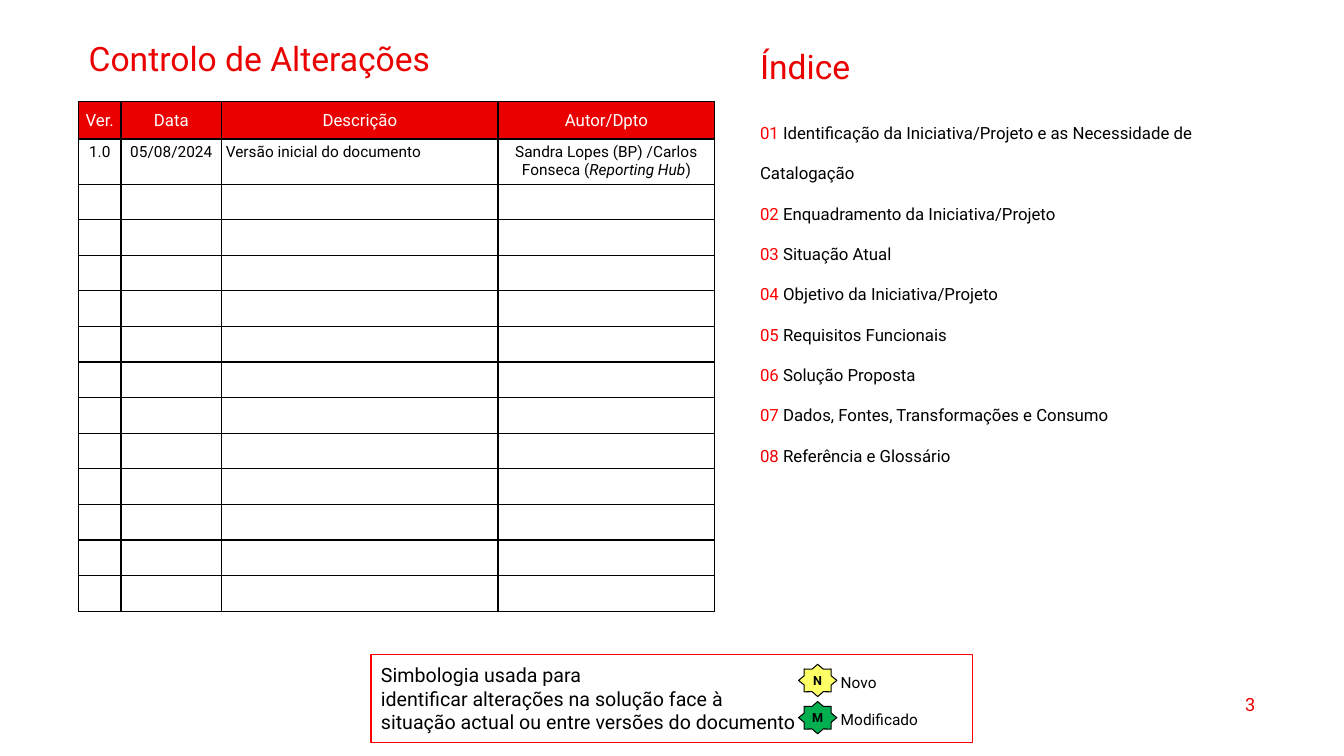
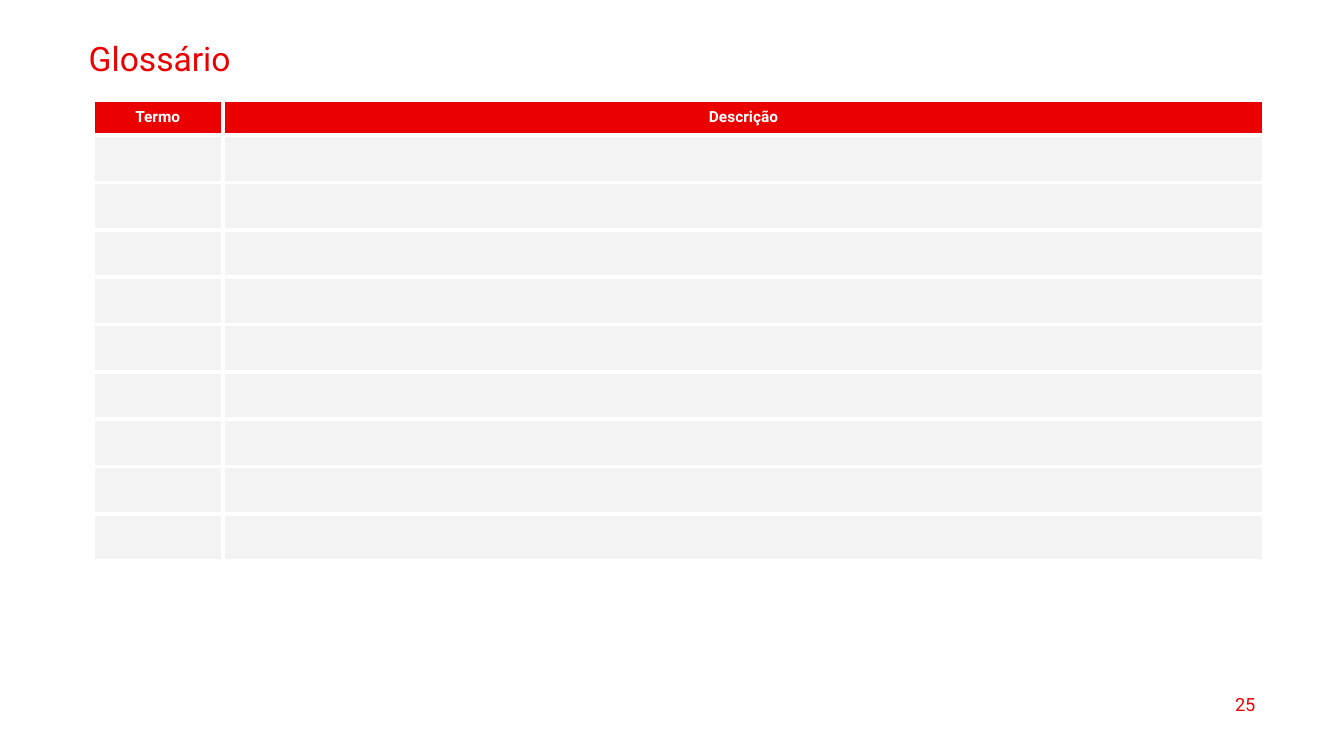
from lxml import etree
from pptx import Presentation
from pptx import util as u
from pptx.dml.color import RGBColor
from pptx.enum import shapes, text
from pptx.oxml.ns import qn

FONT = "Roboto"
RED, BRIGHT_RED = "EB0000", "FF0000"
BLACK, WHITE, GREY = "000000", "FFFFFF", "F3F3F3"
YELLOW, GREEN = "FFFF66", "00B050"
LEFT, CENTER, RIGHT = text.PP_ALIGN.LEFT, text.PP_ALIGN.CENTER, text.PP_ALIGN.RIGHT
TOP, MIDDLE = text.MSO_ANCHOR.TOP, text.MSO_ANCHOR.MIDDLE

INDEX_ENTRIES = [
    "Identificação da Iniciativa/Projeto e as Necessidade de Catalogação",
    "Enquadramento da Iniciativa/Projeto",
    "Situação Atual",
    "Objetivo da Iniciativa/Projeto",
    "Requisitos Funcionais",
    "Solução Proposta",
    "Dados, Fontes, Transformações e Consumo",
    "Referência e Glossário",
]
LEGEND_LINES = [
    "Simbologia usada para",
    "identificar alterações na solução face à",
    "situação actual ou entre versões do documento",
]
CHANGE_HEADERS = ["Ver.", "Data", "Descrição", "Autor/Dpto"]
FIRST_CHANGE = [
    "1.0",
    "05/08/2024",
    "Versão inicial do documento",
    ["Sandra Lopes (BP) /Carlos Fonseca (", "Reporting Hub", ")"],
]


def px(length):
    """Turn px, 100 to the inch, into EMU."""
    return u.Emu(round(length * 9144))


def color(value):
    return RGBColor.from_string(value)


def style(font, size, fill, bold=False):
    font.name, font.size, font.bold = FONT, u.Pt(size), bold
    font.color.rgb = color(fill)


def write(frame, lines, size, fill, align=LEFT, bold=False):
    """Fill a frame with one paragraph a line; a line is a string or a list of runs."""
    for number, line in enumerate(lines):
        paragraph = frame.paragraphs[0] if number == 0 else frame.add_paragraph()
        paragraph.alignment = align
        for part in [line] if isinstance(line, str) else line:
            run = paragraph.add_run()
            run.text = part
            style(run.font, size, fill, bold)


def add_text(slide, box, lines, size, fill, align=LEFT, anchor=TOP):
    frame = slide.shapes.add_textbox(*map(px, box)).text_frame
    frame.word_wrap = True
    frame.vertical_anchor = anchor
    write(frame, lines, size, fill, align)
    return frame


def format_heading(frame, heading):
    frame.auto_size = text.MSO_AUTO_SIZE.NONE
    frame.vertical_anchor = TOP
    write(frame, [heading], 24, RED)
    frame.paragraphs[0].line_spacing = 0.9


def add_slide(presentation, title, title_width, number):
    slide = presentation.slides.add_slide(presentation.slide_layouts[5])
    placeholder = slide.shapes.title
    placeholder.left, placeholder.top = px(78), px(37)
    placeholder.width, placeholder.height = px(title_width), px(33)
    format_heading(placeholder.text_frame, title)
    add_text(slide, (955, 679, 300, 40), [str(number)], 13, RED, RIGHT, MIDDLE)
    return slide


def add_preset(slide, kind, box, line, fill=None):
    shape = slide.shapes.add_shape(kind, *map(px, box))
    shape.shadow.inherit = False
    if fill:
        shape.fill.solid()
        shape.fill.fore_color.rgb = color(fill)
    else:
        shape.fill.background()
    shape.line.color.rgb = color(line)
    shape.line.width = u.Pt(0.75)
    shape.text_frame.word_wrap = False
    shape.text_frame.vertical_anchor = MIDDLE
    return shape


def set_borders(cell, line, width):
    properties = cell._tc.get_or_add_tcPr()
    for side in "LRTB":
        border = etree.SubElement(properties, qn(f"a:ln{side}"), w=str(u.Pt(width)))
        solid = etree.SubElement(border, qn("a:solidFill"))
        etree.SubElement(solid, qn("a:srgbClr"), val=line)


def add_grid(slide, left, top, columns, rows, line, line_width, margins, body_fill=None):
    """Add a table with a red header row; margins are the side and the top/bottom inset."""
    table = slide.shapes.add_table(
        len(rows), len(columns), px(left), px(top), px(sum(columns)), px(sum(rows))
    ).table
    table.first_row = table.horz_banding = False
    for column, width in zip(table.columns, columns):
        column.width = px(width)
    for row_number, (row, height) in enumerate(zip(table.rows, rows)):
        row.height = px(height)
        fill = body_fill if row_number else RED
        for cell in row.cells:
            cell.margin_left = cell.margin_right = px(margins[0])
            cell.margin_top = cell.margin_bottom = px(margins[1])
            set_borders(cell, line, line_width)
            if fill:
                cell.fill.solid()
                cell.fill.fore_color.rgb = color(fill)
            else:
                cell.fill.background()
            paragraph = cell.text_frame.paragraphs[0]
            etree.SubElement(paragraph._p, qn("a:endParaRPr"), sz="1100")
    return table


def write_header(table, labels, size, bold=False):
    for cell, label in zip(table.rows[0].cells, labels):
        cell.vertical_anchor = MIDDLE
        write(cell.text_frame, [label], size, WHITE, CENTER, bold)


def add_change_table(slide, left, top):
    rows = [37, 43] + [424 / 12] * 12
    table = add_grid(slide, left, top, [42, 100, 274, 215], rows, BLACK, 1, (4, 4))
    write_header(table, CHANGE_HEADERS, 12)
    for column, content in enumerate(FIRST_CHANGE):
        align = LEFT if column == 2 else CENTER
        write(table.cell(1, column).text_frame, [content], 11, BLACK, align)
    author = table.cell(1, 3).text_frame.paragraphs[0]
    author.runs[1].font.italic = True


def add_index(slide, left, top):
    heading = slide.shapes.add_textbox(px(left), px(top), px(537), px(33))
    format_heading(heading.text_frame, "Índice")
    lines = [[f"{number:02}", f" {entry}"] for number, entry in enumerate(INDEX_ENTRIES, 1)]
    frame = add_text(slide, (left, top + 52, 513, 327), lines, 12, BLACK)
    for paragraph in frame.paragraphs:
        paragraph.line_spacing = 2.0
        paragraph.runs[0].font.color.rgb = color(BRIGHT_RED)
    frame.paragraphs[-1].runs[0].font.color.rgb = color(RED)


def add_legend(slide, left, top):
    box = add_preset(
        slide, shapes.MSO_SHAPE.RECTANGLE, (left, top, 597, 88), BRIGHT_RED
    )
    write(box.text_frame, LEGEND_LINES, 14, BLACK)
    labels = add_text(
        slide, (left + 456, top + 14, 109, 66), ["Novo", "Modificado"], 11, BLACK
    )
    labels.paragraphs[1].space_before = u.Pt(13)
    for number, (letter, fill) in enumerate([("N", YELLOW), ("M", GREEN)]):
        star_box = (left + 424, top + 10 + 37 * number, 38, 32)
        star = add_preset(slide, shapes.MSO_SHAPE.STAR_8_POINT, star_box, BLACK, fill)
        star.adjustments[0] = 0.38
        write(star.text_frame, [letter], 9, BLACK, CENTER, bold=True)


def add_control_slide(presentation):
    slide = add_slide(presentation, "Controlo de Alterações", 630, 3)
    add_change_table(slide, 78, 101)
    add_legend(slide, 368, 649)
    add_index(slide, 744, 45)


def add_glossary_slide(presentation):
    slide = add_slide(presentation, "Glossário", 1177, 25)
    rows = [35] + [47] * 9
    table = add_grid(slide, 92, 99, [129, 1033], rows, WHITE, 3, (6, 0), GREY)
    write_header(table, ["Termo", "Descrição"], 11, bold=True)


def main():
    presentation = Presentation()
    presentation.slide_width, presentation.slide_height = px(1333), px(750)
    add_control_slide(presentation)
    add_glossary_slide(presentation)
    presentation.save("out.pptx")


if __name__ == "__main__":
    main()
